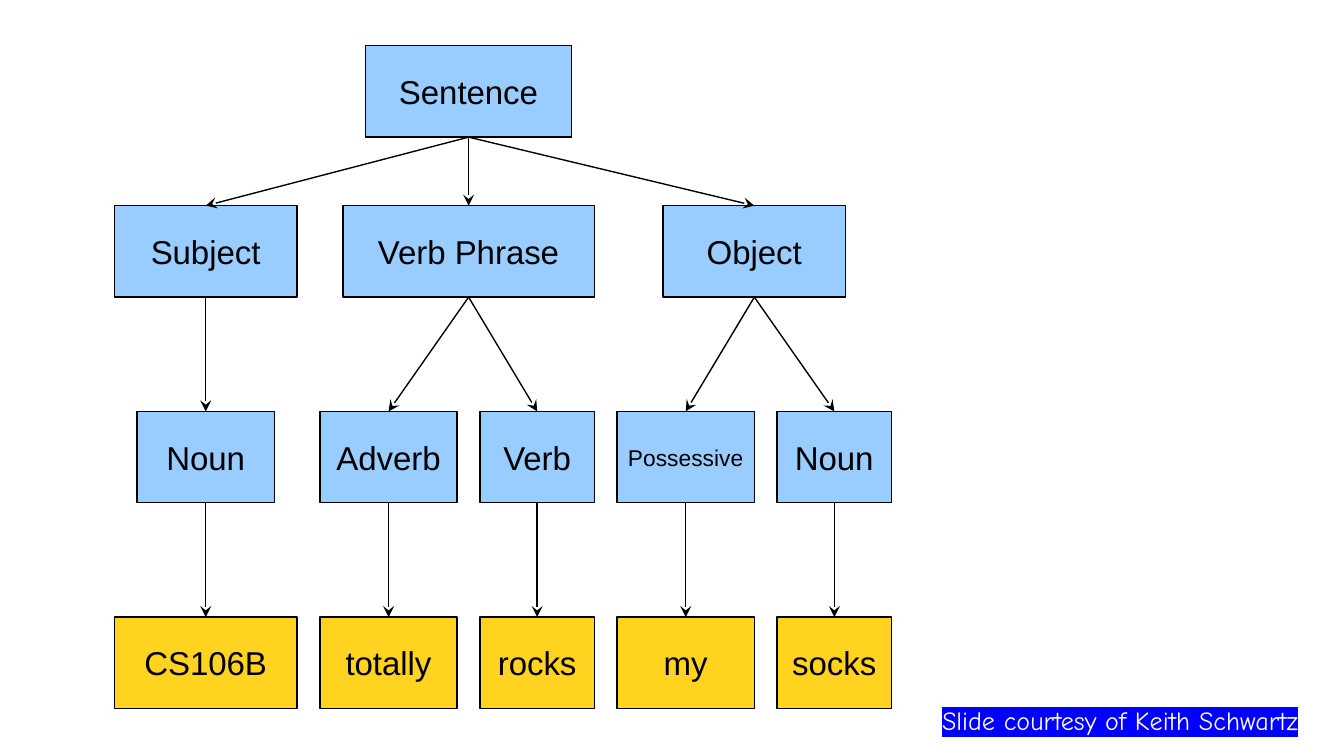
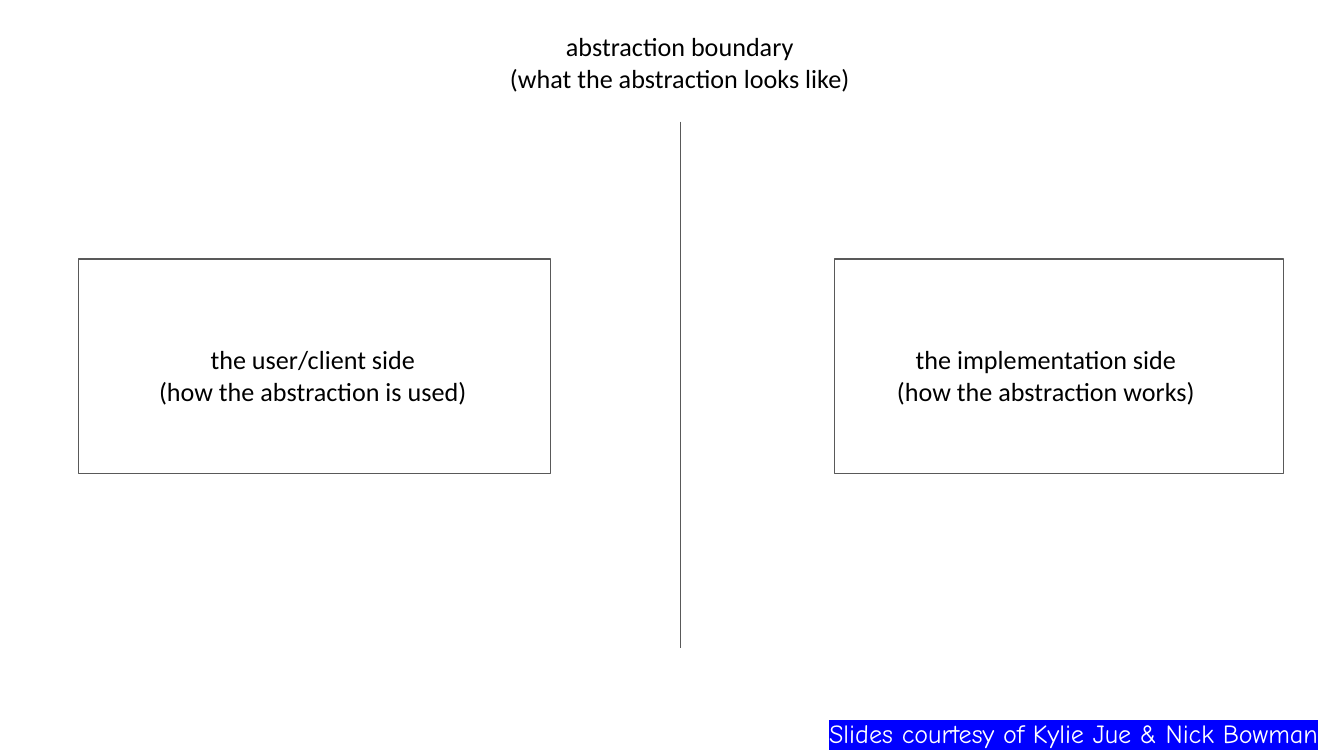
from copy import deepcopy

from lxml import etree
from pptx import Presentation
from pptx import util as u
from pptx.dml.color import RGBColor
from pptx.enum import shapes, text
from pptx.oxml import ns

COLORS = {
    "ink": "000000",
    "grammar": "99CCFF",
    "word": "FFD320",
    "outline": "595959",
    "credit": "FFFFFF",
    "highlight": "0000FF",
}
NODE_FONT = {"name": "Arial", "size": u.Pt(17.7)}
SMALL_NODE_FONT = {"name": "Arial", "size": u.Pt(12.2)}
LABEL_FONT = {"name": "Calibri", "size": u.Pt(14)}
CREDIT_FONT = {"name": "Comic Neue", "size": u.Pt(14)}

NODE_FRAME = {
    "margin_left": u.Cm(0.18),
    "margin_right": u.Cm(0.18),
    "margin_top": u.Cm(0.08),
    "margin_bottom": u.Cm(0.08),
    "vertical_anchor": text.MSO_ANCHOR.MIDDLE,
    "word_wrap": True,
}
LABEL_FRAME = {
    "margin_left": u.Cm(0.25),
    "margin_right": u.Cm(0.25),
    "margin_top": u.Cm(0.25),
    "margin_bottom": u.Cm(0.25),
    "vertical_anchor": text.MSO_ANCHOR.TOP,
    "word_wrap": True,
}
CREDIT_FRAME = {
    **LABEL_FRAME,
    "margin_top": u.Cm(0.13),
    "margin_bottom": u.Cm(0.13),
    "auto_size": text.MSO_AUTO_SIZE.SHAPE_TO_FIT_TEXT,
}

GRID = u.Cm(2.16) / 5
NODE_HEIGHT = 4
LEVEL_TOPS = [2, 9, 18, 27]
BOTTOM_SITE, TOP_SITE = 2, 0

TREE = ("Sentence", 16, 9, [
    ("Subject", 5, 8, [
        ("Noun", 6, 6, [("CS106B", 5, 8, [])]),
    ]),
    ("Verb Phrase", 15, 11, [
        ("Adverb", 14, 6, [("totally", 14, 6, [])]),
        ("Verb", 21, 5, [("rocks", 21, 5, [])]),
    ]),
    ("Object", 29, 8, [
        ("Possessive", 27, 6, [("my", 27, 6, [])]),
        ("Noun", 34, 5, [("socks", 34, 5, [])]),
    ]),
])


def apply(target, values):
    for name, value in values.items():
        setattr(target, name, value)


class Deck:
    def __init__(self):
        self.presentation = Presentation()
        apply(self.presentation, {"slide_width": u.Cm(25.4), "slide_height": u.Cm(14.29)})
        self.slide = None

    def color(self, name):
        return RGBColor.from_string(COLORS[name])

    def add_slide(self):
        self.slide = self.presentation.slides.add_slide(self.presentation.slide_layouts[6])

    def fill_text(self, shape, content, font, frame, color="ink", align=text.PP_ALIGN.CENTER):
        apply(shape.text_frame, frame)
        paragraph = shape.text_frame.paragraphs[0]
        paragraph.text = content
        paragraph.alignment = align
        for run in paragraph.runs:
            apply(run.font, font)
            run.font.color.rgb = self.color(color)
        for line_break in paragraph._p.findall(ns.qn("a:br")):
            line_break.insert(0, deepcopy(paragraph.runs[0]._r.rPr))
        return paragraph

    def style_line(self, line, color):
        line.color.rgb = self.color(color)
        line.width = u.Pt(0.75)

    def box(self, left, top, width, height, line, fill=None):
        shape = self.slide.shapes.add_shape(
            shapes.MSO_SHAPE.RECTANGLE, left, top, width, height)
        shape.shadow.inherit = False
        self.style_line(shape.line, line)
        if fill:
            shape.fill.solid()
            shape.fill.fore_color.rgb = self.color(fill)
        else:
            shape.fill.background()
        return shape

    def node(self, label, left, top, width, fill):
        sides = [round(side * GRID) for side in (left, top, width, NODE_HEIGHT)]
        shape = self.box(*sides, "ink", fill)
        font = SMALL_NODE_FONT if label == "Possessive" else NODE_FONT
        self.fill_text(shape, label, font, NODE_FRAME)
        return shape

    def line(self, color, start=(0, 0), end=(0, 0)):
        connector = self.slide.shapes.add_connector(
            shapes.MSO_CONNECTOR.STRAIGHT, *start, *end)
        self.style_line(connector.line, color)
        etree.SubElement(connector._element.spPr, ns.qn("a:effectLst"))
        return connector

    def arrow(self, parent, child):
        connector = self.line("ink")
        connector.begin_connect(parent, BOTTOM_SITE)
        connector.end_connect(child, TOP_SITE)
        outline = connector.line._get_or_add_ln()
        etree.SubElement(outline, ns.qn("a:tailEnd"), type="stealth")

    def tree(self, branch, level=0):
        label, left, width, children = branch
        fill = "grammar" if children else "word"
        parent = self.node(label, left, LEVEL_TOPS[level], width, fill)
        for child in children:
            self.arrow(parent, self.tree(child, level + 1))
        return parent

    def label(self, content, left, top, width):
        shape = self.slide.shapes.add_textbox(left, top, width, u.Cm(1.35))
        self.fill_text(shape, content, LABEL_FONT, LABEL_FRAME)

    def credit(self, content, left, top):
        shape = self.slide.shapes.add_textbox(left, top, u.Cm(12.7), u.Cm(0.86))
        paragraph = self.fill_text(
            shape, content, CREDIT_FONT, CREDIT_FRAME, "credit", text.PP_ALIGN.RIGHT)
        for run in paragraph.runs:
            highlight = etree.Element(ns.qn("a:highlight"))
            etree.SubElement(highlight, ns.qn("a:srgbClr"), val=COLORS["highlight"])
            run._r.rPr.find(ns.qn("a:solidFill")).addnext(highlight)


def build_parse_tree(deck):
    deck.add_slide()
    deck.tree(TREE)
    deck.credit("Slide courtesy of Keith Schwartz", u.Cm(12.09), u.Cm(13.18))


def build_abstraction(deck):
    deck.add_slide()
    for left, width in ((u.Cm(1.48), u.Cm(8.92)), (u.Cm(15.77), u.Cm(8.49))):
        deck.box(left, u.Cm(4.9), width, u.Cm(4.05), "outline")
    boundary = u.Cm(12.86)
    deck.line("outline", (boundary, u.Cm(2.3)), (boundary, u.Cm(12.24)))
    for content, left, top, width in (
        ("abstraction boundary\v(what the abstraction looks like)", 8.61, 0.33, 8.48),
        ("the user/client side\v(how the abstraction is used)", 2.41, 6.25, 7.01),
        ("the implementation side\v(how the abstraction works)", 16.33, 6.25, 6.88),
    ):
        deck.label(content, u.Cm(left), u.Cm(top), u.Cm(width))
    deck.credit("Slides courtesy of Kylie Jue & Nick Bowman", u.Cm(12.47), u.Cm(13.43))


def main():
    deck = Deck()
    build_parse_tree(deck)
    build_abstraction(deck)
    deck.presentation.save("out.pptx")


if __name__ == "__main__":
    main()
